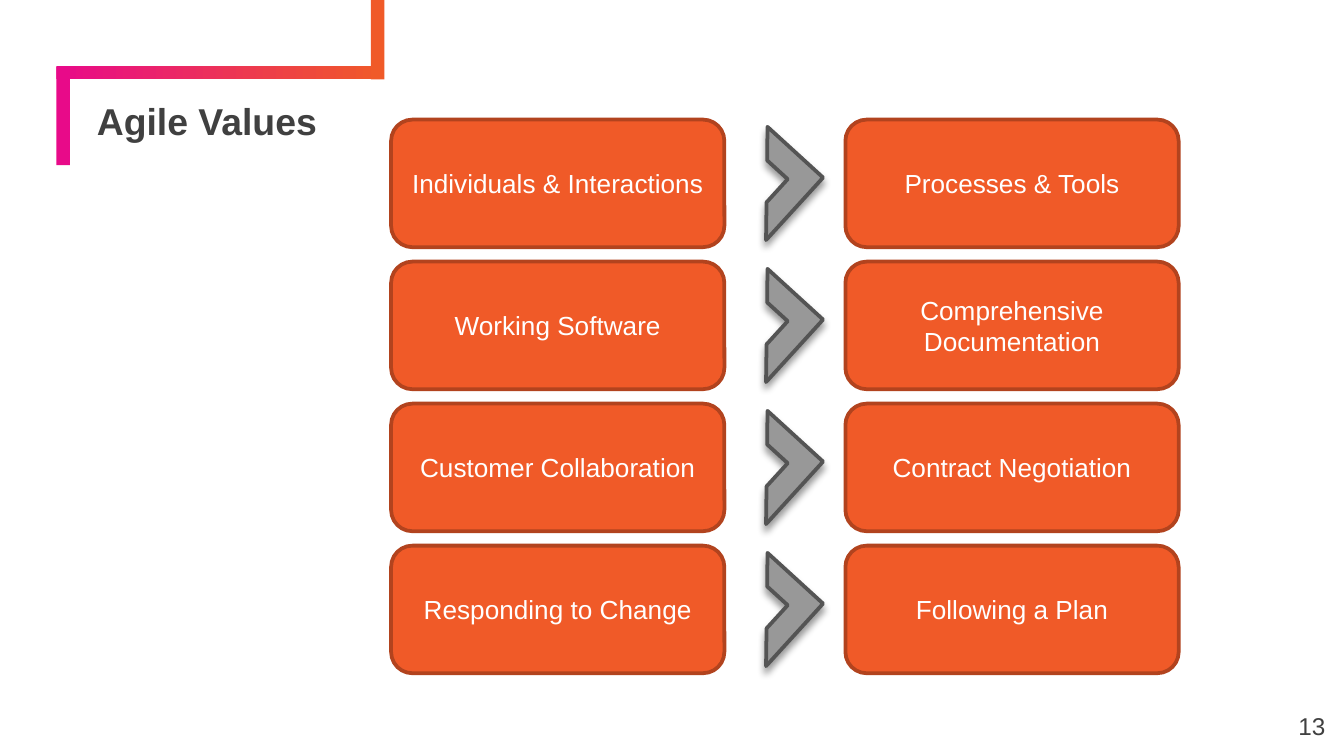
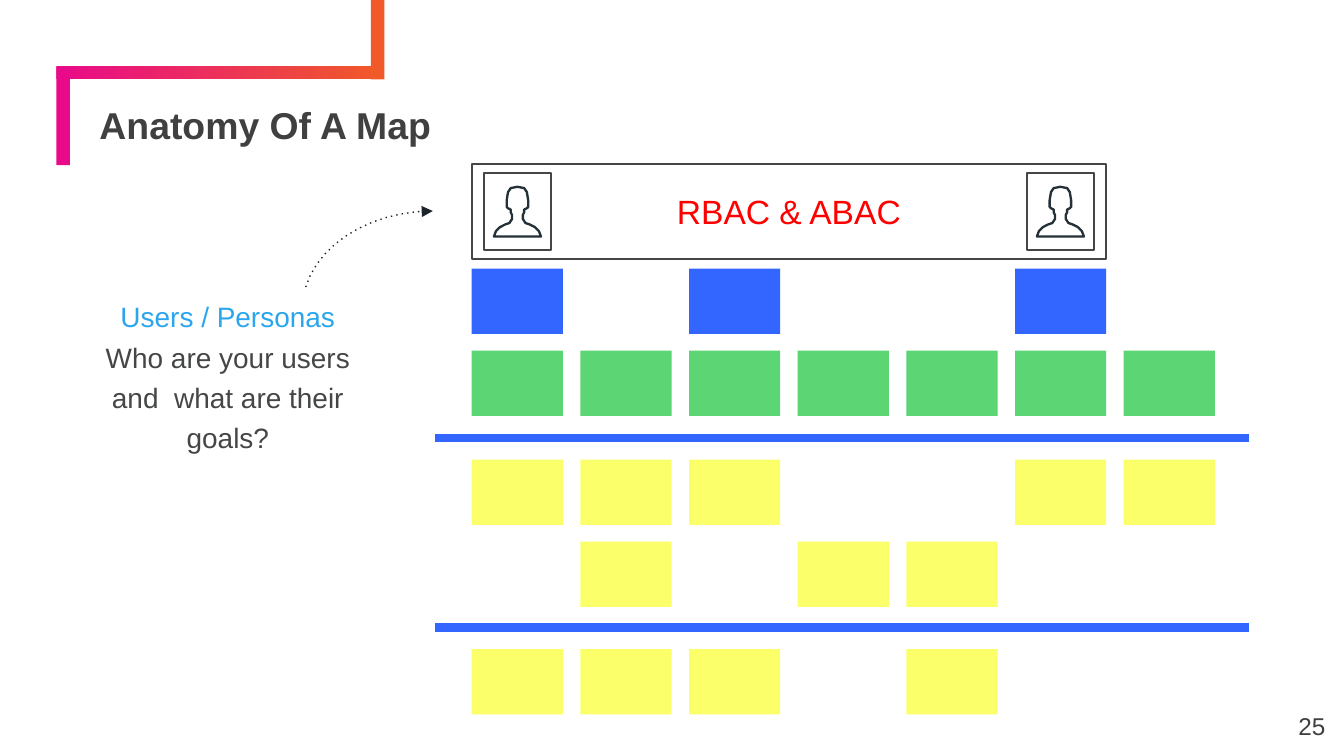
from dataclasses import dataclass
from math import cos, radians, sin

from lxml.etree import SubElement
from pptx import Presentation
from pptx.dml.color import RGBColor
from pptx.enum.shapes import MSO_CONNECTOR, MSO_SHAPE
from pptx.enum.text import MSO_ANCHOR, MSO_AUTO_SIZE, PP_ALIGN
from pptx.oxml.ns import qn
from pptx.util import Inches, Pt

FONT = "Arial"
ORANGE = RGBColor(0xF0, 0x5A, 0x28)
RUST = RGBColor(0xB2, 0x43, 0x1E)
PINK = RGBColor(0xE8, 0x0A, 0x89)
CHARCOAL = RGBColor(0x40, 0x40, 0x40)
SLATE = RGBColor(0x45, 0x46, 0x46)
INK = RGBColor(0x24, 0x31, 0x38)
NIGHT = RGBColor(0x1B, 0x24, 0x29)
GRAY = RGBColor(0x98, 0x98, 0x98)
DARK_GRAY = RGBColor(0x54, 0x54, 0x54)
WHITE = RGBColor(0xFF, 0xFF, 0xFF)
BLUE = RGBColor(0x33, 0x66, 0xFF)
SKY = RGBColor(0x2B, 0xA6, 0xED)
GREEN = RGBColor(0x5C, 0xD5, 0x74)
YELLOW = RGBColor(0xFB, 0xFF, 0x69)
RED = RGBColor(0xFF, 0x00, 0x00)

VALUES = [
    ("Individuals & Interactions", "Processes & Tools"),
    ("Working Software", "Comprehensive Documentation"),
    ("Customer Collaboration", "Contract Negotiation"),
    ("Responding to Change", "Following a Plan"),
]
# Top of each row of the map, its colour and the columns that hold a card
MAP_ROWS = [
    (0, BLUE, (0, 2, 5)),
    (6.1, GREEN, range(7)),
    (14.2, YELLOW, (0, 1, 2, 5, 6)),
    (20.3, YELLOW, (1, 3, 4)),
    (28.3, YELLOW, (0, 1, 2, 4)),
]
MAP_RULES = (12.6, 26.7)
# Right half of a bust, as steps from the middle of the head's top
BUST = [(0, 0), (0.5, 0.1), (0.7, 0.4), (0.8, 1), (0.8, 1.5), (0.7, 1.6),
        (0.5, 1.7), (0.5, 1.9), (0.4, 2.1), (0.4, 2.4), (0.6, 2.7),
        (0.9, 2.8), (1.3, 3), (1.6, 3.3), (1.75, 3.7)]


@dataclass
class Box:
    """A region measured in grid steps of a tenth of an inch."""
    left: float
    top: float
    width: float
    height: float

    def area(self, left, top, width, height):
        return Box(self.left + left, self.top + top, width, height)

    def cell(self, index, count, gap, across=False):
        """One of count equal columns (across) or rows."""
        length = self.width if across else self.height
        size = (length - gap * (count - 1)) / count
        start = index * (size + gap)
        if across:
            return self.area(start, 0, size, self.height)
        return self.area(0, start, self.width, size)

    def emu(self):
        return [steps(value) for value in
                (self.left, self.top, self.width, self.height)]


def steps(value):
    return Inches(value / 10)


PAGE = Box(0, 0, 100, 56.25)


def add_block(page, box, kind=MSO_SHAPE.RECTANGLE, fill=None, line=None, weight=1):
    shape = page.shapes.add_shape(kind, *box.emu())
    paint(shape, fill, line, weight)
    return shape


def paint(shape, fill=None, line=None, weight=1):
    shape.shadow.inherit = False
    if fill is None:
        shape.fill.background()
    else:
        shape.fill.solid()
        shape.fill.fore_color.rgb = fill
    if line is None:
        shape.line.fill.background()
    else:
        shape.line.color.rgb = line
        shape.line.width = Pt(weight)


def style(para, size, color, align=PP_ALIGN.LEFT, bold=False):
    para.alignment = align
    para.font.name = FONT
    para.font.size = Pt(size)
    para.font.bold = bold
    para.font.color.rgb = color


def set_margins(frame, left, top, right, bottom):
    frame.margin_left, frame.margin_top = steps(left), steps(top)
    frame.margin_right, frame.margin_bottom = steps(right), steps(bottom)


def add_text(page, box, lines, size, align=PP_ALIGN.CENTER):
    """Add a text box; lines pairs each paragraph's text with its colour."""
    frame = page.shapes.add_textbox(*box.emu()).text_frame
    frame.word_wrap = True
    for index, (text, color) in enumerate(lines):
        para = frame.add_paragraph() if index else frame.paragraphs[0]
        para.text = text
        style(para, size, color, align)
    return frame


def add_outline(page, points, close):
    corners = [(steps(x), steps(y)) for x, y in points]
    builder = page.shapes.build_freeform(*corners[0])
    builder.add_line_segments(corners[1:], close=close)
    return builder.convert_to_shape()


def add_bracket(page, layout):
    """Draw the corner bracket and hand it to the layout all slides share."""
    bar = add_block(page, PAGE.area(4.2, 4.9, 24.3, 1), fill=PINK)
    bar.fill.gradient()
    bar.fill.gradient_angle = 0
    for stop, color in zip(bar.fill.gradient_stops, (PINK, ORANGE)):
        stop.color.rgb = color
    legs = [add_block(page, PAGE.area(4.2, 5, 1, 7.3), fill=PINK),
            add_block(page, PAGE.area(27.6, 0, 1, 5.9), fill=ORANGE)]
    for shape in [bar, *legs]:
        layout.shapes.element.append(shape.element)


def add_page(deck, layout, title, number, anchor, margins):
    page = deck.slides.add_slide(layout)
    holder = page.shapes.title
    holder.left, holder.top, holder.width, holder.height = PAGE.area(6.7, 7.8, 90.3, 3.4).emu()
    frame = holder.text_frame
    frame.text = title
    frame.auto_size = MSO_AUTO_SIZE.NONE
    frame.vertical_anchor = anchor
    set_margins(frame, *margins)
    style(frame.paragraphs[0], 20, CHARCOAL, bold=True)
    frame.paragraphs[0].line_spacing = 0.9
    footer = add_text(page, PAGE.area(93.6, 51.9, 6, 4.3), [(number, CHARCOAL)], 13, PP_ALIGN.RIGHT)
    set_margins(footer, 1, 1, 1, 1)
    return page


def add_value_card(page, box, text):
    card = add_block(page, box, MSO_SHAPE.ROUNDED_RECTANGLE, ORANGE, RUST, 2)
    frame = card.text_frame
    frame.text = text
    frame.word_wrap = True
    frame.vertical_anchor = MSO_ANCHOR.MIDDLE
    style(frame.paragraphs[0], 14, WHITE, PP_ALIGN.CENTER)


def add_chevron(page, box):
    chevron = add_block(page, box, MSO_SHAPE.HALF_FRAME, GRAY, DARK_GRAY, 2)
    chevron.rotation = 132.4
    effects = chevron.element.spPr.find(qn("a:effectLst"))
    shadow = SubElement(effects, qn("a:outerShdw"), blurRad=str(Pt(4)),
                        dist=str(Pt(3)), dir="5400000", rotWithShape="0")
    color = SubElement(shadow, qn("a:srgbClr"), val="000000")
    SubElement(color, qn("a:alpha"), val="40000")


def add_value_pairs(page, box):
    for index, (preferred, other) in enumerate(VALUES):
        row = box.cell(index, len(VALUES), 1.07)
        add_value_card(page, row.area(0, 0, 24.8, row.height), preferred)
        add_chevron(page, row.area(24.8, 1.95, 6.3, 5.6))
        add_value_card(page, row.area(33.8, 0, 24.8, row.height), other)


def add_persona(page, box):
    add_block(page, box, line=SLATE)
    middle, top = box.left + box.width / 2, box.top + 1
    right = [(middle + x, top + y) for x, y in BUST]
    left = [(middle - x, top + y) for x, y in reversed(BUST[1:])]
    paint(add_outline(page, right + left, True), line=INK, weight=1.25)


def add_banner(page, box):
    for left in (0.9, box.width - 5.9):
        add_persona(page, box.area(left, 0.7, 5, 5.7))
    add_block(page, box, line=SLATE)
    frame = add_text(page, box.area(9.5, 1.5, 28.2, 4), [("RBAC & ABAC", RED)], 18)
    frame.auto_size = MSO_AUTO_SIZE.SHAPE_TO_FIT_TEXT


def add_story_map(page, box):
    for top, color, columns in MAP_ROWS:
        row = box.area(0, top, box.width, 4.86)
        for column in columns:
            add_block(page, row.cell(column, 7, 1.3, across=True), fill=color)
    for top in MAP_RULES:
        left, y, width, _ = box.area(-2.7, top, 60.5, 0).emu()
        line = page.shapes.add_connector(MSO_CONNECTOR.STRAIGHT, left, y, left + width, y)
        line.line.color.rgb = BLUE
        line.line.width = Pt(4.5)
        SubElement(line.element.spPr, qn("a:effectLst"))


def add_dotted_arrow(page, box):
    """Sweep most of a quarter ellipse up to the top right corner of the box."""
    center_x, center_y = box.left + box.width, box.top + box.height
    angles = [radians(angle) for angle in range(193, 271, 7)]
    points = [(center_x + box.width * cos(angle), center_y + box.height * sin(angle))
              for angle in angles]
    arrow = add_outline(page, points, False)
    paint(arrow, line=NIGHT, weight=0.75)
    outline = arrow.element.spPr.find(qn("a:ln"))
    SubElement(outline, qn("a:prstDash"), val="dot")
    SubElement(outline, qn("a:tailEnd"), type="triangle")


def add_caption(page, box):
    frame = add_text(page, box, [("Users / Personas", SKY),
                                 ("Who are your users and  what are their goals?", SLATE)], 15)
    set_margins(frame, 0, 0.6, 0, 0)
    frame.auto_size = MSO_AUTO_SIZE.SHAPE_TO_FIT_TEXT
    frame.paragraphs[1].line_spacing = 1.2


def main():
    deck = Presentation()
    deck.slide_width, deck.slide_height = steps(PAGE.width), steps(PAGE.height)
    layout = deck.slide_layouts[5]

    values = add_page(deck, layout, "Agile Values", "13",
                      MSO_ANCHOR.BOTTOM, (0.5, 0.5, 0.5, 0.5))
    add_bracket(values, layout)
    add_value_pairs(values, PAGE.area(29.1, 8.9, 58.6, 41.2))

    anatomy = add_page(deck, layout, "Anatomy Of A Map", "25",
                       MSO_ANCHOR.MIDDLE, (0.7, 0.4, 0.7, 0.4))
    add_caption(anatomy, PAGE.area(7, 21.7, 19.9, 12.2))
    add_dotted_arrow(anatomy, PAGE.area(22.5, 15.7, 9.7, 7.3))
    add_story_map(anatomy, PAGE.area(35.1, 20, 55.3, 33.1))
    add_banner(anatomy, PAGE.area(35.1, 12.2, 47.2, 7.1))

    deck.save("out.pptx")


if __name__ == "__main__":
    main()
